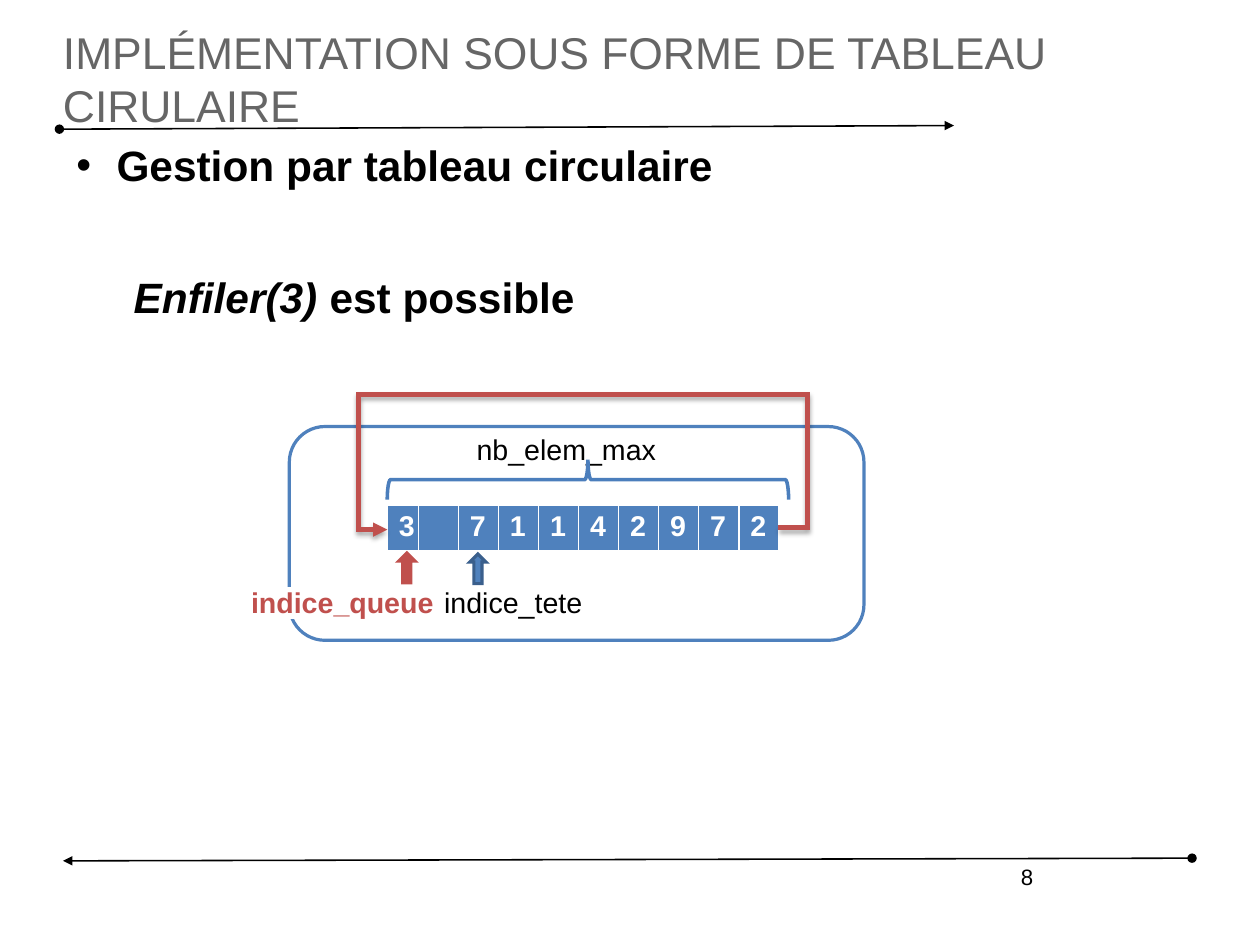
from typing import NamedTuple

from lxml import etree
from pptx import Presentation
from pptx import util as u
from pptx.dml.color import RGBColor
from pptx.enum import shapes, text
from pptx.oxml import ns

FONT = "Arial"
BLACK, WHITE, GREY = "000000", "FFFFFF", "666666"
BLUE, RED = "4F81BD", "C0504D"


class Box(NamedTuple):
    left: float
    top: float
    width: float
    height: float


class Span(NamedTuple):
    words: str
    size: float = 18
    color: str = BLACK
    bold: bool = False
    italic: bool = False
    highlight: str = ""
    kerned: bool = False


class Figure(NamedTuple):
    kind: shapes.MSO_SHAPE
    box: Box
    fill: str
    line: str
    weight: float = 2
    rotation: float = 0


class Label(NamedTuple):
    box: Box
    span: Span


class Rule(NamedTuple):
    start: tuple[float, float]
    end: tuple[float, float]


def rgb(value: str) -> RGBColor:
    return RGBColor.from_string(value)


def lengths(box: Box) -> list[u.Length]:
    return [u.Cm(value) for value in box]


def add_xml(parent, tag: str, **attributes: str):
    return etree.SubElement(parent, ns.qn(tag), attributes)


def add_span(para, span: Span) -> None:
    run = para.add_run()
    run.text = span.words
    font = run.font
    font.name, font.size = FONT, u.Pt(span.size)
    font.bold, font.italic = span.bold, span.italic
    font.color.rgb = rgb(span.color)
    if span.kerned:
        font._element.set("kern", "1200")
    if span.highlight:
        mark = etree.Element(ns.qn("a:highlight"))
        add_xml(mark, "a:srgbClr", val=span.highlight)
        font._element.find(ns.qn("a:solidFill")).addnext(mark)


def add_frame(page, box: Box, inset: bool = False):
    frame = page.shapes.add_textbox(*lengths(box)).text_frame
    frame.word_wrap = True
    if not inset:
        frame.margin_left = frame.margin_right = 0
        frame.margin_top = frame.margin_bottom = 0
    return frame


def add_label(page, label: Label) -> None:
    frame = add_frame(page, label.box, inset=True)
    frame.word_wrap = False
    frame.auto_size = text.MSO_AUTO_SIZE.SHAPE_TO_FIT_TEXT
    add_span(frame.paragraphs[0], label.span)


def set_outline(shape, color: str, weight: float):
    """Give a sharp-cornered line and return its XML element."""
    shape.line.color.rgb = rgb(color)
    shape.line.width = u.Pt(weight)
    outline = shape.line._get_or_add_ln()
    add_xml(outline, "a:miter", lim="800000")
    return outline


def add_figure(page, figure: Figure) -> None:
    shape = page.shapes.add_shape(figure.kind, *lengths(figure.box))
    shape.shadow.inherit = False
    shape.rotation = figure.rotation
    if figure.fill:
        shape.fill.solid()
        shape.fill.fore_color.rgb = rgb(figure.fill)
    else:
        shape.fill.background()
    set_outline(shape, figure.line, figure.weight)


def add_arrow(page, rule: Rule, color: str = BLACK, weight: float = 1, head: str = "oval"):
    """Draw a connector ending in a triangle; return it and its empty effect list."""
    arrow = page.shapes.add_connector(
        shapes.MSO_CONNECTOR.STRAIGHT, *(u.Cm(v) for v in rule.start + rule.end))
    outline = set_outline(arrow, color, weight)
    add_xml(outline, "a:headEnd", type=head)
    add_xml(outline, "a:tailEnd", type="triangle")
    return arrow, add_xml(arrow._element.spPr, "a:effectLst")


def add_loop(page, rule: Rule, left: float, top: float, right: float) -> None:
    """Lead from the last cell over the top and back to the first cell."""
    arrow, effects = add_arrow(page, rule, RED, 3, "none")
    (x1, y1), (x2, y2) = rule
    turns = (x1 - right) / (x1 - x2), (top - y1) / (y2 - y1), (x1 - left) / (x1 - x2)
    geometry = arrow._element.spPr.find(ns.qn("a:prstGeom"))
    geometry.set("prst", "bentConnector5")
    guides = geometry.find(ns.qn("a:avLst"))
    if guides is None:
        guides = add_xml(geometry, "a:avLst")
    for number, turn in enumerate(turns, 1):
        add_xml(guides, "a:gd", name=f"adj{number}", fmla=f"val {round(turn * 100000)}")
    shadow = add_xml(effects, "a:outerShdw", blurRad=str(u.Pt(3.1)), dist=str(u.Pt(1.8)),
                     dir="5400000", rotWithShape="0")
    add_xml(add_xml(shadow, "a:srgbClr", val=BLACK), "a:alpha", val="35000")


def add_queue(page, values: list[str]) -> None:
    first, other, height = 0.69, 0.89, 1.04
    widths = [first] + [other] * (len(values) - 1)
    frame = page.shapes.add_table(
        1, len(values), *lengths(Box(8.61, 11.22, sum(widths), height)))
    table = frame.table
    table.rows[0].height = u.Cm(height)
    for column, (value, width) in enumerate(zip(values, widths)):
        table.columns[column].width = u.Cm(width)
        cell = table.cell(0, column)
        properties = cell._tc.get_or_add_tcPr()
        for side, weight in (("L", 1), ("R", 1), ("T", 1), ("B", 3)):
            border = add_xml(properties, f"a:ln{side}", w=str(u.Pt(weight)))
            add_xml(add_xml(border, "a:solidFill"), "a:srgbClr", val=WHITE)
        cell.fill.solid()
        cell.fill.fore_color.rgb = rgb(BLUE)
        if value:
            add_span(cell.text_frame.paragraphs[0], Span(value, color=WHITE, bold=True))


def add_body(page) -> None:
    frame = add_frame(page, Box(1.4, 3.09, 25.1, 16.56))
    heading = frame.paragraphs[0]
    add_span(heading, Span("Gestion par tableau circulaire", 26.7, bold=True))
    properties = heading._p.get_or_add_pPr()
    properties.set("marL", str(u.Cm(1.19)))
    properties.set("indent", str(u.Cm(-0.89)))
    add_xml(properties, "a:buFont", typeface=FONT)
    add_xml(properties, "a:buChar", char="•")

    operation = frame.add_paragraph()
    operation.level = 1
    operation.space_before = u.Pt(51.2)
    add_span(operation, Span("Enfiler(3) ", 26.7, bold=True, italic=True))
    add_span(operation, Span("est possible", 26.7, bold=True))
    properties = operation._p.get_or_add_pPr()
    properties.set("marL", str(u.Cm(1.57)))
    properties.set("indent", "0")


def main() -> None:
    deck = Presentation()
    deck.slide_width, deck.slide_height = u.Cm(28), u.Cm(21)
    page = deck.slides.add_slide(deck.slide_layouts[6])

    # Rules and page number
    add_arrow(page, Rule((1.32, 2.87), (21.2, 2.79)))
    number = add_frame(page, Box(16.68, 19.07, 6.53, 1.45), inset=True).paragraphs[0]
    number.alignment = text.PP_ALIGN.RIGHT
    add_span(number, Span("8", 14))
    add_arrow(page, Rule((26.49, 19.07), (1.4, 19.13)))

    # Title and body
    title = add_frame(page, Box(1.4, 0.83, 25.2, 1.83))
    title.vertical_anchor = text.MSO_ANCHOR.MIDDLE
    add_span(title.paragraphs[0],
             Span("IMPLÉMENTATION SOUS FORME DE TABLEAU CIRULAIRE", 28, GREY, kerned=True))
    add_body(page)

    # Circular queue with its indices
    kind = shapes.MSO_SHAPE
    add_figure(page, Figure(kind.ROUNDED_RECTANGLE, Box(6.43, 9.48, 12.77, 4.75), WHITE, BLUE))
    add_queue(page, ["3", "", "7", "1", "1", "4", "2", "9", "7", "2"])
    for label in (
        Label(Box(10.34, 9.48, 4.55, 1.02), Span("nb_elem_max", highlight=WHITE)),
        Label(Box(9.62, 12.87, 3.61, 1.02), Span("indice_tete", highlight=WHITE)),
        Label(Box(5.33, 12.87, 4.6, 1.02),
              Span("indice_queue", color=RED, bold=True, highlight=WHITE)),
    ):
        add_label(page, label)
    for figure in (
        Figure(kind.DOWN_ARROW, Box(8.86, 12.29, 0.36, 0.66), RED, RED, rotation=180),
        Figure(kind.LEFT_BRACE, Box(12.62, 6.2, 0.89, 8.92), "", "4B7EBC", 2.25, 90),
        Figure(kind.DOWN_ARROW, Box(10.44, 12.31, 0.36, 0.66), BLUE, "3A5F8C", rotation=180),
    ):
        add_figure(page, figure)
    add_loop(page, Rule((17.3, 11.73), (8.61, 11.77)), left=7.98, top=8.77, right=17.94)

    deck.save("out.pptx")


if __name__ == "__main__":
    main()
